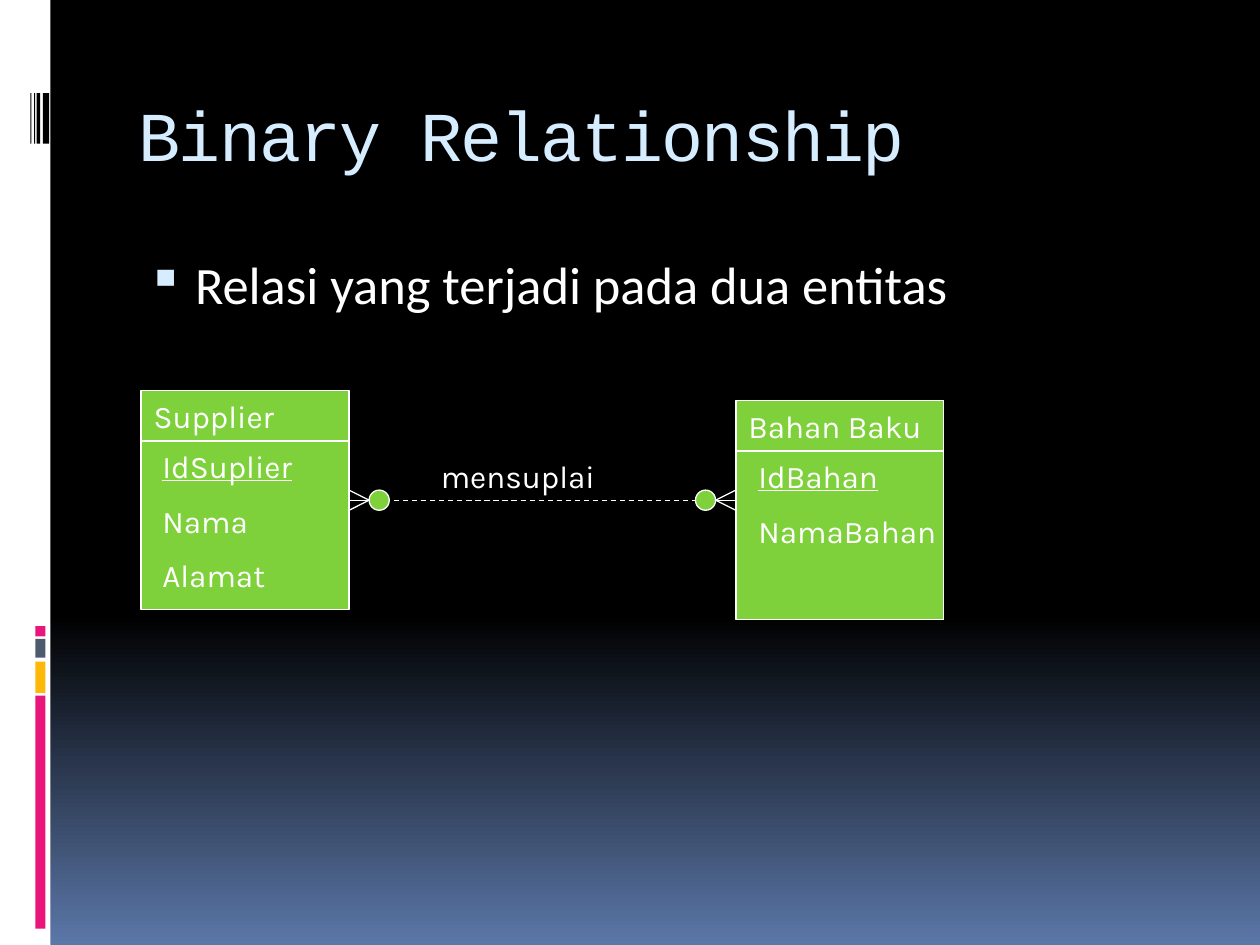
import pptx
import pptx.util
import pptx.dml.color
import pptx.enum.dml
import pptx.enum.shapes
import pptx.enum.text
from lxml import etree
from pptx.util import Inches, Pt

COLORS = {"white": "FFFFFF", "black": "000000", "blue": "5B77A8", "pale": "D6ECFF",
          "pink": "EA157A", "amber": "FEB80A", "slate": "4E5B6F", "green": "7FD13B"}
SHAPE = pptx.enum.shapes.MSO_SHAPE
NS = "http://schemas.openxmlformats.org/drawingml/2006/main"


def rgb(name):
    return pptx.dml.color.RGBColor.from_string(COLORS[name])


def write(tf, text, font="Karla", size=18, color="white", underline_first=False,
          anchor=pptx.enum.text.MSO_ANCHOR.TOP):
    """Fill a text frame, one paragraph per line of text."""
    tf.word_wrap = True
    tf.vertical_anchor = anchor
    for i, line in enumerate(text.split("\n")):
        p = tf.paragraphs[0] if i == 0 else tf.add_paragraph()
        p.alignment = pptx.enum.text.PP_ALIGN.LEFT
        if i:
            p.space_before = Pt(9.5)
        r = p.add_run()
        r.text = line
        r.font.name, r.font.size = font, Pt(size)
        r.font.color.rgb = rgb(color)
        if underline_first and i == 0:
            r.font.underline = True


prs = pptx.Presentation()
prs.slide_width, prs.slide_height = Inches(10), Inches(7.5)
s = prs.slides.add_slide(prs.slide_layouts[5])

# Background: black down to 65 %, then fading to blue
fill = s.background.fill
fill.gradient()
fill.gradient_angle = 270
for stop, (position, color) in zip(fill.gradient_stops, [(0.65, "black"), (1, "blue")]):
    stop.position = position
    stop.color.rgb = rgb(color)

# Side strip with coloured blocks and bars
for x, y, w, h, color in [
    (0, 0, 0.4, 7.5, "white"),
    (0.28, 5.52, 0.08, 1.85, "pink"),
    (0.28, 5.25, 0.08, 0.25, "amber"),
    (0.28, 5.07, 0.08, 0.15, "slate"),
    (0.28, 4.97, 0.08, 0.08, "pink"),
    (0.34, 0.74, 0.05, 0.4, "black"),
    (0.29, 0.74, 0.03, 0.4, "black"),
    (0.27, 0.74, 0.01, 0.4, "black"),
    (0.24, 0.74, 0.01, 0.4, "black"),
]:
    sp = s.shapes.add_shape(SHAPE.RECTANGLE, Inches(x), Inches(y), Inches(w), Inches(h))
    sp.shadow.inherit = False
    sp.fill.solid()
    sp.fill.fore_color.rgb = rgb(color)
    sp.line.fill.background()

# Title
title = s.shapes.title
title.left, title.top, title.width, title.height = Inches(1), Inches(0.56), Inches(8.5), Inches(1)
write(title.text_frame, "Binary Relationship", font="Courier New", size=40, color="pale",
      anchor=pptx.enum.text.MSO_ANCHOR.MIDDLE)
title.text_frame.paragraphs[0].runs[0].font._element.set("spc", "-100")

# Bullet
body = s.shapes.add_textbox(Inches(1), Inches(1.95), Inches(8.5), Inches(5))
write(body.text_frame, "Relasi yang terjadi pada dua entitas", font="Calibri", size=30)
pPr = body.text_frame.paragraphs[0]._p.get_or_add_pPr()
pPr.set("marL", str(Inches(0.45)))
pPr.set("indent", str(Inches(-0.38)))
bullet_color = etree.SubElement(pPr, f"{{{NS}}}buClr")
etree.SubElement(bullet_color, f"{{{NS}}}srgbClr", val=COLORS["pale"])
etree.SubElement(pPr, f"{{{NS}}}buSzPct", val="95000")
etree.SubElement(pPr, f"{{{NS}}}buChar", char="▪")

# Entities, relationship line and crow's feet; lines are styled together below
BOX_W, BOX_H, HEAD_H = 1.65, 1.74, 0.4
LINE_Y, DOT, FOOT = 3.97, 0.16, 0.08
STRAIGHT = pptx.enum.shapes.MSO_CONNECTOR.STRAIGHT
lines, outlined, entities = [], [], []

for x, y, name, attributes, inset, width in [
    (1.12, 3.1, "Supplier", "IdSuplier\nNama\nAlamat", 0.07, 1.34),
    (5.84, 3.18, "Bahan Baku", "IdBahan\nNamaBahan", 0.08, 1.66),
]:
    sp = s.shapes.add_shape(SHAPE.RECTANGLE, Inches(x), Inches(y), Inches(BOX_W), Inches(BOX_H))
    entities.append(sp)
    outlined.append(sp)
    lines.append(s.shapes.add_connector(
        STRAIGHT, Inches(x), Inches(y + HEAD_H), Inches(x + BOX_W), Inches(y + HEAD_H)))
    tb = s.shapes.add_textbox(Inches(x + inset), Inches(y + HEAD_H), Inches(width), Inches(1.3))
    write(tb.text_frame, attributes, underline_first=True)
    tb = s.shapes.add_textbox(Inches(x), Inches(y), Inches(2.28), Inches(HEAD_H))
    write(tb.text_frame, name)

left_edge, right_edge = 1.12 + BOX_W, 5.84
relation = s.shapes.add_connector(
    STRAIGHT, Inches(left_edge), Inches(LINE_Y), Inches(right_edge), Inches(LINE_Y))
relation.begin_connect(entities[0], 3)
relation.line.dash_style = pptx.enum.dml.MSO_LINE.DASH
lines.append(relation)
tb = s.shapes.add_textbox(Inches(3.4), Inches(3.58), Inches(1.73), Inches(0.4))
write(tb.text_frame, "mensuplai")

for edge, direction in [(right_edge, -1), (left_edge, 1)]:
    tip = edge + direction * DOT
    dot_left = min(tip, tip + direction * DOT)
    outlined.append(s.shapes.add_shape(
        SHAPE.OVAL, Inches(dot_left), Inches(LINE_Y - DOT / 2), Inches(DOT), Inches(DOT)))
    for dy in (-FOOT, 0, FOOT):
        toe = s.shapes.add_connector(
            STRAIGHT, Inches(tip), Inches(LINE_Y), Inches(edge), Inches(LINE_Y + dy))
        if direction == 1 and dy == 0:
            toe.end_connect(entities[0], 3)
        lines.append(toe)

for sp in outlined:
    sp.shadow.inherit = False
    sp.fill.solid()
    sp.fill.fore_color.rgb = rgb("green")
for cx in lines:
    etree.SubElement(cx._element.spPr, f"{{{NS}}}effectLst")
for item in outlined + lines:
    item.line.color.rgb = rgb("white")
    item.line.width = Pt(0.75)

prs.save("out.pptx")
